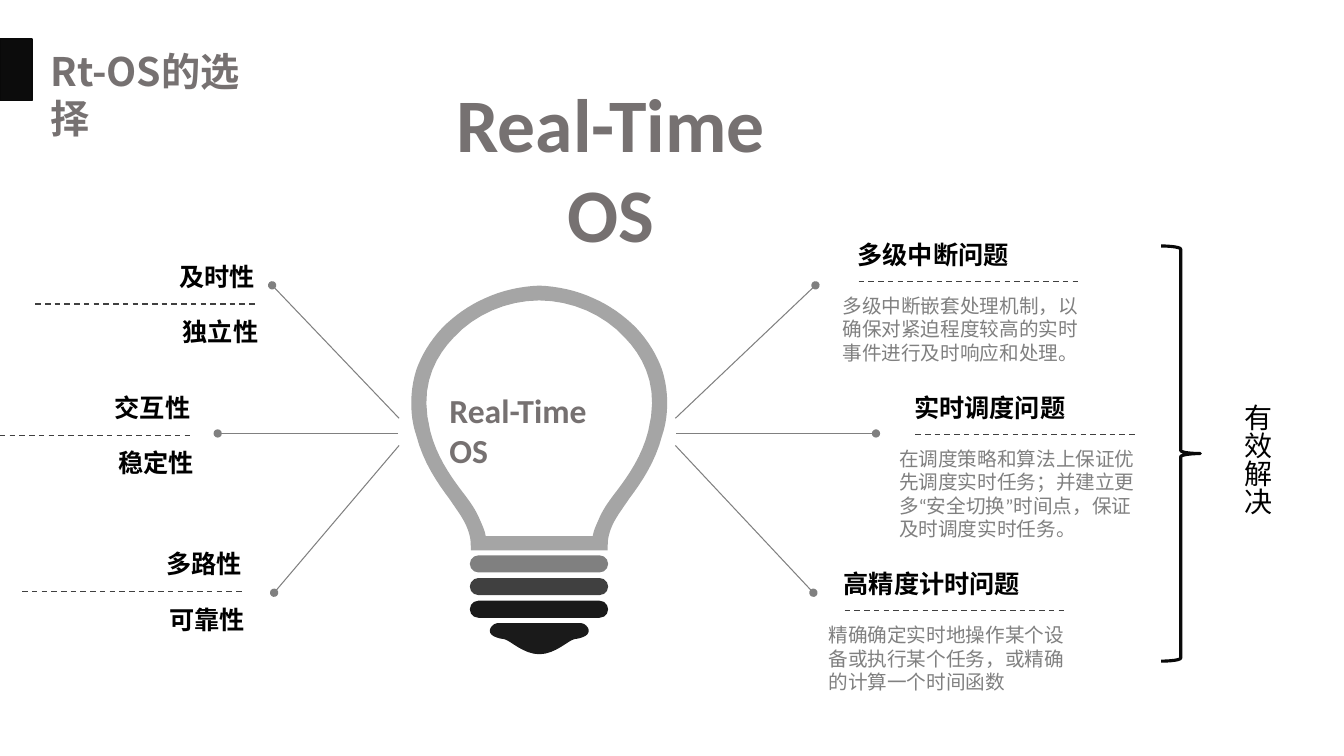
import pptx
import pptx.util
import pptx.dml.color
import pptx.enum.dml
import pptx.enum.shapes
import pptx.enum.text
import pptx.oxml
import pptx.oxml.ns

Pt = pptx.util.Pt
Rgb = pptx.dml.color.RGBColor.from_string
Kind = pptx.enum.shapes.MSO_SHAPE
Align = pptx.enum.text.PP_ALIGN
Dash = pptx.enum.dml.MSO_LINE.DASH
qn = pptx.oxml.ns.qn
make = pptx.oxml.parse_xml
STRAIGHT = pptx.enum.shapes.MSO_CONNECTOR.STRAIGHT
NS = pptx.oxml.ns.nsdecls("a")

THEME = {
    "title": "767171", "ink": "000000", "note": "808080", "rule": "404040",
    "tag": "0C0C0C", "edge": "090909", "glass": "A5A5A5", "base": "1A1A1A",
    "latin": "Calibri", "han": "Noto Sans CJK SC",
    "huge": 54, "head": 28, "bulb": 24, "side": 20, "label": 18, "body": 14,
}

deck = pptx.Presentation()
deck.slide_width, deck.slide_height = Pt(960), Pt(540)
slide = deck.slides.add_slide(deck.slide_layouts[5])
shapes = slide.shapes


def put(text, x, y, w, h, size, color="ink", bold=False, align=Align.LEFT,
        wrap=True, font="latin", box=None):
    """Write text into a new text box, or into the given one."""
    box = box or shapes.add_textbox(0, 0, 0, 0)
    box.left, box.top, box.width, box.height = Pt(x), Pt(y), Pt(w), Pt(h)
    frame = box.text_frame
    frame.text = text
    frame.word_wrap = wrap
    frame.auto_size = pptx.enum.text.MSO_AUTO_SIZE.NONE
    frame.vertical_anchor = pptx.enum.text.MSO_ANCHOR.TOP
    para = frame.paragraphs[0]
    para.alignment = align
    face = para.runs[0].font
    face.name, face.size, face.bold = THEME[font], Pt(THEME[size]), bold
    face.color.rgb = Rgb(THEME[color])
    props = para.runs[0]._r.get_or_add_rPr()
    props.append(make(f'<a:ea {NS} typeface="{THEME[font]}"/>'))
    return box


def line(x1, y1, x2, y2, color, width):
    """Draw a straight line without a shadow."""
    link = shapes.add_connector(STRAIGHT, Pt(x1), Pt(y1), Pt(x2), Pt(y2))
    link.line.color.rgb = Rgb(THEME[color])
    link.line.width = Pt(width)
    link._element.spPr.append(make(f"<a:effectLst {NS}/>"))
    return link


# Title and corner tag
tag = shapes.add_shape(Kind.RECTANGLE, 0, Pt(28), Pt(23), Pt(44))
tag.shadow.inherit = False
tag.fill.solid()
tag.fill.fore_color.rgb = Rgb(THEME["tag"])
tag.line.color.rgb = Rgb(THEME["edge"])
tag.line.width = Pt(1)
put("Rt-OS的选择", 28.8, 30.2, 175, 41, "head", "title", True, font="han",
    box=shapes.title)

# Rays from the bulb, each ending in a dot
rays = [
    (482.4, 298.8, 582.5, 203.8), (483.1, 309.6, 625.7, 309.6),
    (482.4, 318.2, 581, 423.4), (285.1, 298.8, 194.4, 203.8),
    (284.4, 309.6, 155.5, 309.6), (285.1, 318.2, 195.8, 423.4),
]
for ray in rays:
    link = line(*ray, "note", 0.75)
    link.line._get_or_add_ln().append(make(f'<a:tailEnd {NS} type="oval"/>'))

# Bulb: cubic half outlines as (distance from axis, y), mirrored on the axis
AXIS = 385.2
outer = [
    (0, 204), (13, 204.5), (26.6, 207.4), (38.9, 213.1),
    (50.4, 218.2), (60.5, 225.4), (69.1, 234),
    (78.5, 244), (84.2, 254.2), (87.8, 264.2),
    (91.4, 275.8), (92.2, 287.3), (90.7, 298.8),
    (90, 303.1), (89.3, 306.7), (87.8, 311),
    (82.8, 330.5), (72.7, 344.9), (64.1, 356.4),
    (59.8, 362.9), (55.4, 368.6), (52.6, 374.4),
    (50.4, 379.4), (49, 383.8), (49, 388.1),
    (48.9, 389.8), (48.8, 391.5), (48.8, 393.1),
]
inner = [
    (0, 214.6), (23, 214.6), (46.1, 224.6), (61.2, 241.2),
    (73, 253.5), (83.5, 271.7), (79.9, 297.4),
    (79.2, 301), (78.5, 304.6), (77.8, 308.2),
    (73.4, 325.4), (64.1, 339.1), (55.4, 350.6),
    (50.4, 357.1), (46.1, 362.9), (43.2, 369.4),
    (41, 374.4), (38.9, 378.7), (38.2, 383),
]
tip = [
    (0, 445), (10, 445), (20, 445), (28.8, 445),
    (32.4, 445), (35.3, 447.8), (35.3, 450.7),
    (35.3, 454.3), (29.5, 456), (25.2, 456.5),
    (20.9, 457.2), (11.5, 467.3), (0, 467.3),
]
STEPS = 8
for halves, color in [((outer, inner), "glass"), ((tip,), "base")]:
    pen = None
    for half in halves:
        side = [half[0]]
        for i in range(0, len(half) - 1, 3):
            for step in range(1, STEPS + 1):
                t = step / STEPS
                mix = ((1 - t) ** 3, 3 * t * (1 - t) ** 2,
                       3 * t * t * (1 - t), t ** 3)
                side.append([sum(m * p[k] for m, p in zip(mix, half[i:i + 4]))
                             for k in (0, 1)])
        ring = [(Pt(AXIS - d), Pt(y)) for d, y in side]
        ring += [(Pt(AXIS + d), Pt(y)) for d, y in reversed(side)]
        if pen is None:
            pen = shapes.build_freeform(*ring[0])
        else:
            pen.move_to(*ring[0])
        pen.add_line_segments(ring[1:], close=True)
    part = pen.convert_to_shape()
    part.shadow.inherit = False
    part.fill.solid()
    part.fill.fore_color.rgb = Rgb(THEME[color])
    part.line.fill.background()

# Screw threads of the bulb
for i, color in enumerate(["note", "rule", "base"]):
    bar = shapes.add_shape(Kind.ROUNDED_RECTANGLE, Pt(335.6), Pt(396.7 + 16.2 * i),
                           Pt(98.8), Pt(12.2))
    bar.adjustments[0] = 0.5
    bar.shadow.inherit = False
    bar.fill.solid()
    bar.fill.fore_color.rgb = Rgb(THEME[color])
    bar.line.fill.background()

put("Real-Time OS", 313.9, 275, 142.6, 36, "bulb", "title", True)
put("Real-Time OS", 285.1, 51.1, 302.4, 72.7, "huge", "title", True, Align.CENTER)

# Traits on the left, above and below a dashed rule
SPAN = 159.6
traits = [
    (25.2, 217.3, "及时性", "独立性"),
    (-20.9, 311, "交互性", "稳定性"),
    (15.8, 422.6, "多路性", "可靠性"),
]
for x, y, above, below in traits:
    end = x + SPAN
    line(x, y, end, y, "rule", 1).line.dash_style = Dash.DASH
    put(above, end - 64.1, y - 34.4, 68.4, 29, "label", bold=True,
        align=Align.RIGHT, wrap=False)
    put(below, end - 171, y + 5.2, 177.8, 29, "label", bold=True, align=Align.RIGHT)

# Problems on the right, a heading and a note around a dashed rule
issues = [
    (613.4, 200.9, 122.4, 191.5, "latin", "多级中断问题",
     "多级中断嵌套处理机制，以确保对紧迫程度较高的实时事件进行及时响应和处理。"),
    (653.8, 310.3, 122.4, 187.2, "latin", "实时调度问题",
     "在调度策略和算法上保证优先调度实时任务；并建立更多“安全切换”时间点，保证及时调度实时任务。"),
    (603.4, 436.3, 140.4, 187.2, "han", "高精度计时问题",
     "精确确定实时地操作某个设备或执行某个任务，或精确的计算一个时间函数"),
]
for x, y, wide, room, font, head, note in issues:
    line(x, y, x + SPAN, y, "rule", 1).line.dash_style = Dash.DASH
    put(head, x - 7.9, y - 33.8, wide, 29, "label", bold=True, wrap=False)
    put(note, x - 18.7, y + 5.2, room, 58, "body", "note", font=font)

# Brace and its vertical caption
brace = shapes.add_shape(Kind.RIGHT_BRACE, Pt(829.4), Pt(175.7), Pt(28), Pt(296.6))
brace.adjustments[0], brace.adjustments[1] = 0.08, 0.5
brace.shadow.inherit = False
brace.fill.background()
brace.line.color.rgb = Rgb(THEME["edge"])
brace.line.width = Pt(2.25)
side = put("有效解决", 874.8, 281.5, 38.9, 107.3, "side")
side.text_frame._txBody.find(qn("a:bodyPr")).set("vert", "eaVert")

deck.save("out.pptx")
